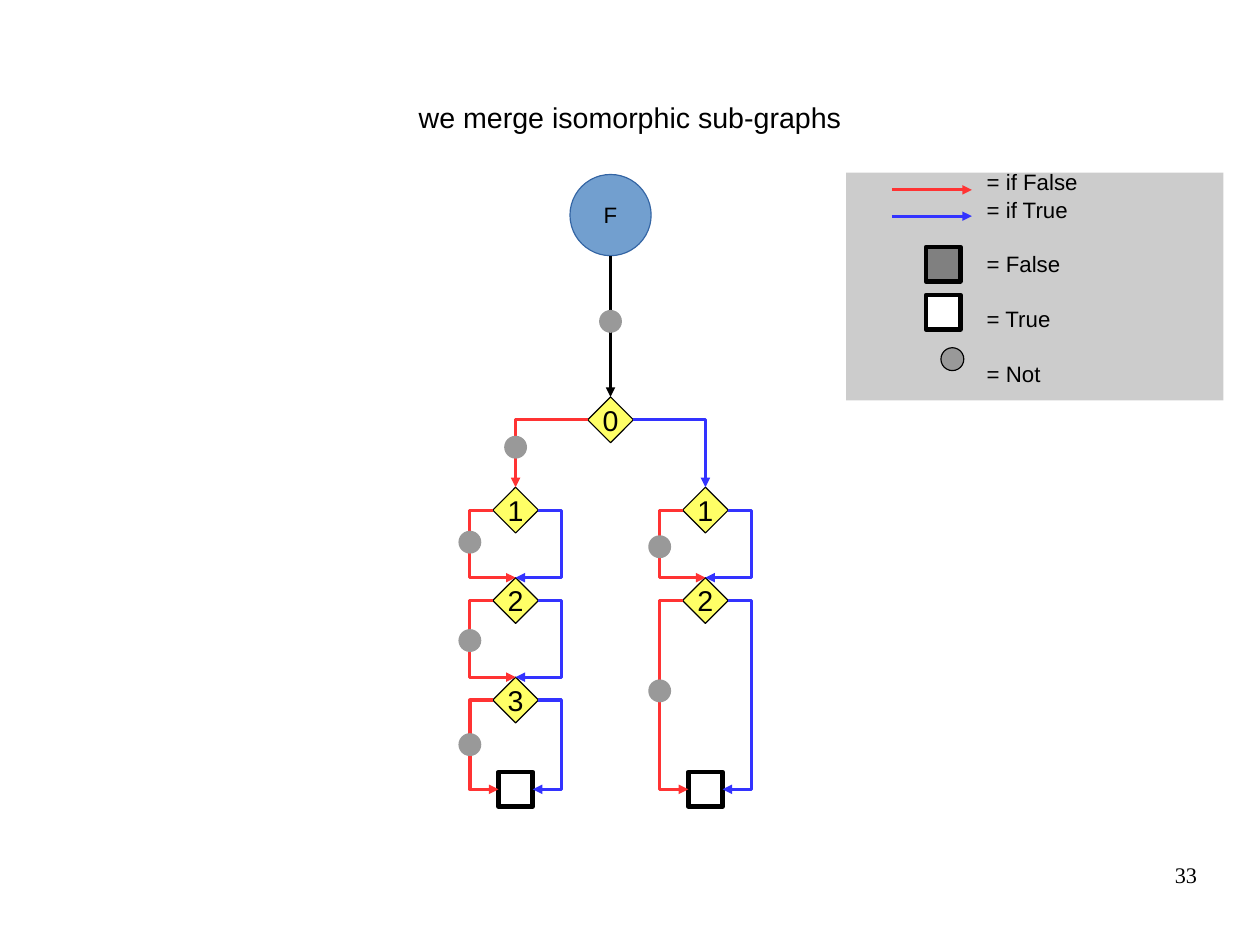
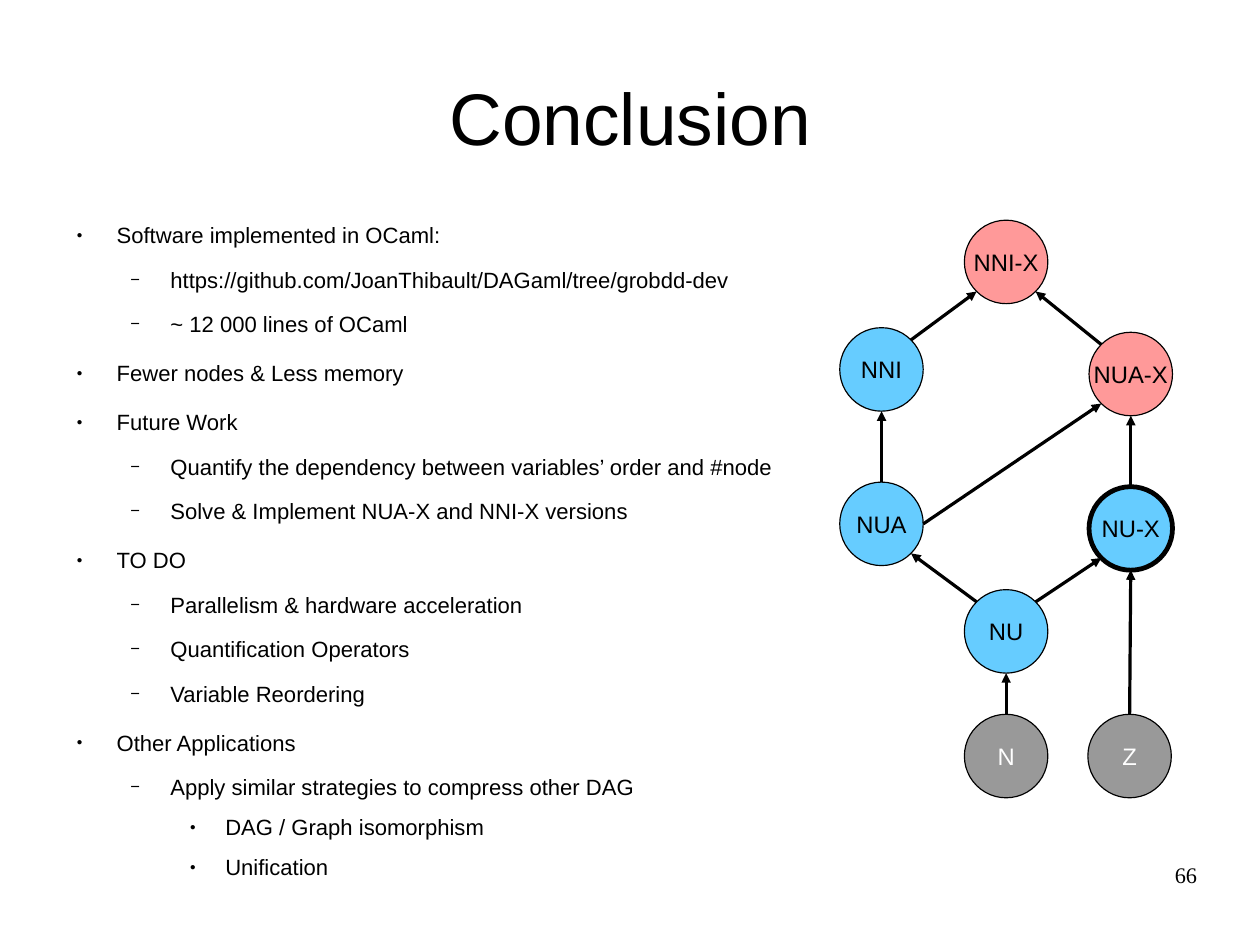
from math import hypot

from pptx import Presentation
from pptx.dml.color import RGBColor
from pptx.enum.shapes import MSO_CONNECTOR as Link, MSO_SHAPE as Kind
from pptx.enum.text import MSO_ANCHOR as Anchor, MSO_AUTO_SIZE as Fit, PP_ALIGN as Align
from pptx.oxml.ns import qn
from pptx.util import Inches, Pt
from lxml.etree import SubElement

HUES = {
    "black": "000000", "white": "FFFFFF", "gray": "999999", "dark": "808080",
    "panel": "CCCCCC", "red": "FF3333", "blue": "3333FF", "yellow": "FFFF66",
    "root": "729FCF", "rim": "3465A4", "sky": "66CCFF", "pink": "FF9999",
}
# Connection sites shared by diamonds and rectangles
TOP, LEFT, RIGHT = 0, 1, 3
# Per list level: left margin, hanging indent, space before, mark, mark size
LEVELS = [
    (0.47, 0.35, 14.2, "●", 45),
    (0.94, 0.35, 11.3, "−", 75),
    (1.42, 0.31, 8.5, "●", 45),
]


def hue(name):
    return RGBColor.from_string(HUES[name])


class Deck:
    def __init__(self):
        self.prs = Presentation()
        self.prs.slide_width, self.prs.slide_height = Inches(11.02), Inches(8.27)
        self.slide = None

    def start(self, layout, title, size, number):
        """Add a slide with its title and page number."""
        self.slide = self.prs.slides.add_slide(self.prs.slide_layouts[layout])
        head = self.slide.shapes.title
        self.place(head, 0.55, 0.33, 9.92, 1.38)
        self.set_text(head.text_frame, [title], size, align=Align.CENTER)
        head.text_frame.vertical_anchor = Anchor.MIDDLE
        self.label(7.9, 7.53, 2.57, 0.57, [number], Align.RIGHT, "Times New Roman")

    def place(self, shape, x, y, w, h):
        shape.left, shape.top = Inches(x), Inches(y)
        shape.width, shape.height = Inches(w), Inches(h)

    def set_text(self, frame, lines, size, color="black", align=Align.LEFT,
                 face="Arial", wrap=True):
        frame.word_wrap = wrap
        frame.auto_size = Fit.NONE
        frame.margin_left = frame.margin_right = 0
        frame.margin_top = frame.margin_bottom = 0
        for i, line in enumerate(lines):
            para = frame.paragraphs[0] if i == 0 else frame.add_paragraph()
            para.text = line
            para.alignment = align
            para.font.size, para.font.name = Pt(size), face
            para.font.color.rgb = hue(color)

    def label(self, x, y, w, h, lines, align=Align.LEFT, face="Arial"):
        box = self.slide.shapes.add_textbox(Inches(x), Inches(y), Inches(w), Inches(h))
        self.set_text(box.text_frame, lines, 14, align=align, face=face)
        return box.text_frame.paragraphs

    def shape(self, kind, x, y, w, h, fill, line=None, width=0):
        item = self.slide.shapes.add_shape(
            kind, Inches(x), Inches(y), Inches(w), Inches(h))
        item.shadow.inherit = False
        item.fill.solid()
        item.fill.fore_color.rgb = hue(fill)
        if line:
            item.line.color.rgb = hue(line)
            item.line.width = Pt(width)
        else:
            item.line.fill.background()
        return item

    def node(self, kind, x, y, side, text, size, fill, line="black", width=0,
             color="black"):
        """Draw a labelled node centred at x, y."""
        item = self.shape(kind, x - side / 2, y - side / 2, side, side, fill, line, width)
        self.set_text(item.text_frame, [text], size, color, Align.CENTER, wrap=False)
        item.text_frame.vertical_anchor = Anchor.MIDDLE
        return item

    def dot(self, x, y, line=None):
        self.shape(Kind.OVAL, x - 0.1, y - 0.1, 0.2, 0.2, "gray", line)

    def square(self, x, y, fill="white"):
        return self.shape(Kind.RECTANGLE, x - 0.15, y - 0.15, 0.3, 0.3, fill, "black", 3)

    def arrow(self, start, end, color="black", kind=Link.STRAIGHT):
        link = self.slide.shapes.add_connector(
            kind, *(Inches(v) for v in (*start, *end)))
        link.line.color.rgb = hue(color)
        link.line.width = 0
        props = link._element.spPr
        SubElement(props.get_or_add_ln(), qn("a:tailEnd"), type="triangle")
        SubElement(props, qn("a:effectLst"))
        return link

    def bend(self, src, side, dst, port, color, via=None):
        """Join two sites with an elbow, running through x = via if given."""
        link = self.arrow((0, 0), (1, 1), color, Link.ELBOW)
        link.begin_connect(src, side)
        link.end_connect(dst, port)
        geom = link._element.spPr.find(qn("a:prstGeom"))
        if via is None:
            geom.set("prst", "bentConnector2")
            return
        ratio = (Inches(via) - link.begin_x) / (link.end_x - link.begin_x)
        SubElement(geom.find(qn("a:avLst")), qn("a:gd"), name="adj1",
                   fmla=f"val {round(ratio * 100000)}")

    def bullets(self, items):
        body = self.slide.placeholders[1]
        self.place(body, 0.55, 1.94, 9.92, 4.8)
        self.set_text(body.text_frame, [text for _, text in items], 13.9)
        for i, (para, (level, _)) in enumerate(zip(body.text_frame.paragraphs, items)):
            left, hang, gap, mark, size = LEVELS[level]
            para.level = level
            para.space_before = Pt(gap if i else 0)
            props = para._p.get_or_add_pPr()
            props.set("marL", str(Inches(left)))
            props.set("indent", str(-Inches(hang)))
            font = props.find(qn("a:defRPr"))
            props.remove(font)
            tint = SubElement(props, qn("a:buClr"))
            SubElement(tint, qn("a:srgbClr"), val=HUES["black"])
            SubElement(props, qn("a:buSzPct"), val=str(size * 1000))
            SubElement(props, qn("a:buFont"), typeface="Arial")
            SubElement(props, qn("a:buChar"), char=mark)
            props.append(font)


def column(deck, x, tops, dots):
    """Stack the numbered tests at x above a True leaf; return the first."""
    nodes = [deck.node(Kind.DIAMOND, x, top + 0.2, 0.4, str(i), 18, "yellow")
             for i, top in enumerate(tops, 1)]
    leaf = deck.square(x, 6.9)
    for src, dst, y in zip(nodes, nodes[1:] + [leaf], dots):
        for side, color, via in ((LEFT, "red", x - 0.4), (RIGHT, "blue", x + 0.4)):
            deck.bend(src, side, dst, side if dst is leaf else TOP, color, via)
        deck.dot(x - 0.4, y)
    return nodes[0]


def legend(deck):
    deck.shape(Kind.RECTANGLE, 7.4, 1.51, 3.3, 1.99, "panel")
    for y, color in ((1.66, "red"), (1.89, "blue")):
        deck.arrow((7.8, y), (8.5, y), color)
    deck.square(8.25, 2.31, "dark")
    deck.square(8.25, 2.73)
    deck.dot(8.33, 3.14, "black")
    lines = deck.label(8.63, 1.47, 1.8, 2, [
        "= if False", "= if True", "= False", "= True", "= Not"])
    for para, gap in zip(lines[1:], (0.7, 17.6, 17.6, 17.6)):
        para.space_before = Pt(gap)


def merge(deck):
    deck.start(5, "we merge isomorphic sub-graphs", 18, "33")
    mid = 5.34
    deck.node(Kind.OVAL, mid, 1.88, 0.71, "F", 14, "root", "rim")
    deck.arrow((mid, 2.24), (mid, 3.47))
    deck.dot(mid, 2.81)
    top = deck.node(Kind.DIAMOND, mid, 3.67, 0.4, "0", 18, "yellow")
    low = column(deck, 4.51, (4.26, 5.05, 5.92), (4.74, 5.6, 6.51))
    high = column(deck, 6.17, (4.26, 5.05), (4.78, 6.04))
    deck.bend(top, LEFT, low, TOP, "red")
    deck.bend(top, RIGHT, high, TOP, "blue")
    deck.dot(4.51, 3.91)
    legend(deck)


def finish(deck):
    deck.start(1, "Conclusion", 46, "66")
    deck.bullets([
        (0, "Software implemented in OCaml:"),
        (1, "https://github.com/JoanThibault/DAGaml/tree/grobdd-dev"),
        (1, "~ 12 000 lines of OCaml"),
        (0, "Fewer nodes & Less memory"),
        (0, "Future Work"),
        (1, "Quantify the dependency between variables’ order and #node"),
        (1, "Solve & Implement NUA-X and NNI-X versions"),
        (0, "TO DO"),
        (1, "Parallelism & hardware acceleration"),
        (1, "Quantification Operators"),
        (1, "Variable Reordering"),
        (0, "Other Applications"),
        (1, "Apply similar strategies to compress other DAG"),
        (2, "DAG / Graph isomorphism"),
        (2, "Unification"),
    ])
    spots = {
        "N": (8.8, 6.61, "gray"), "Z": (9.88, 6.61, "gray"),
        "NU": (8.8, 5.52, "sky"), "NUA": (7.71, 4.58, "sky"),
        "NNI": (7.71, 3.23, "sky"), "NU-X": (9.89, 4.62, "sky"),
        "NUA-X": (9.89, 3.27, "pink"), "NNI-X": (8.8, 2.29, "pink"),
    }
    for name, (x, y, fill) in spots.items():
        deck.node(Kind.OVAL, x, y, 0.73, name, 15, fill,
                  width=3 if name == "NU-X" else 0,
                  color="white" if fill == "gray" else "black")

    def edge(name, dx, dy):
        """Give the point on a node's edge in direction dx, dy."""
        x, y, _ = spots[name]
        reach = 0.365 / hypot(dx, dy)
        return x + dx * reach, y + dy * reach

    # Each arrow: source, its side, target, its side
    for src, out, dst, near in (
        ("N", (0, -1), "NU", (0, 1)), ("Z", (0, -1), "NU-X", (0, 1)),
        ("NU", (-1, -1), "NUA", (1, 1)), ("NU", (1, -1), "NU-X", (-1, 1)),
        ("NUA", (0, -1), "NNI", (0, 1)), ("NUA", (1, 0), "NUA-X", (-1, 1)),
        ("NU-X", (0, -1), "NUA-X", (0, 1)), ("NNI", (1, -1), "NNI-X", (-1, 1)),
        ("NUA-X", (-1, -1), "NNI-X", (1, 1)),
    ):
        deck.arrow(edge(src, *out), edge(dst, *near))


def main():
    deck = Deck()
    merge(deck)
    finish(deck)
    deck.prs.save("out.pptx")


if __name__ == "__main__":
    main()
